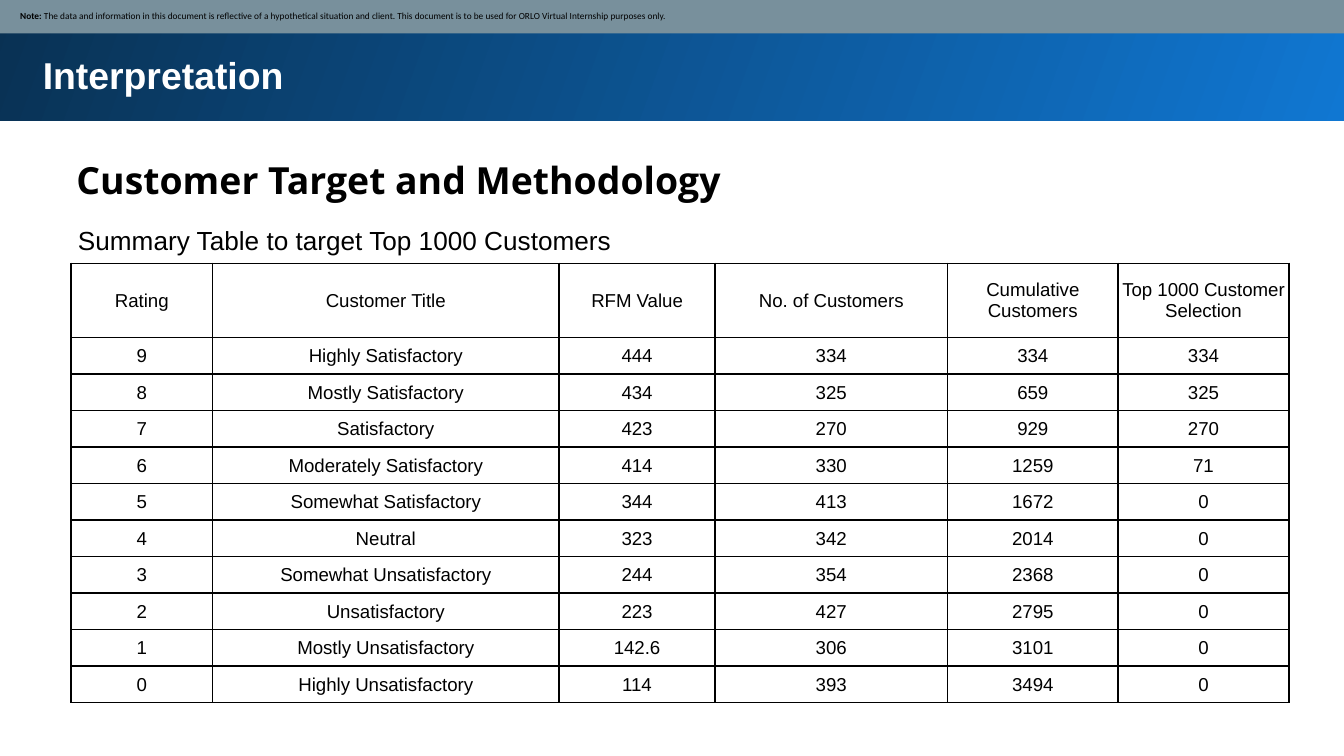
from lxml import etree
from pptx import Presentation
from pptx import util as u
from pptx.dml.color import RGBColor
from pptx.enum import shapes, text
from pptx.oxml import ns

BLACK = RGBColor(0x00, 0x00, 0x00)
WHITE = RGBColor(0xFF, 0xFF, 0xFF)
SLATE = RGBColor(0x78, 0x90, 0x9C)
BRIGHT_BLUE = RGBColor(0x10, 0x77, 0xD2)
NAVY = RGBColor(0x09, 0x31, 0x53)

SLIDE_WIDTH = u.Inches(10)
SLIDE_HEIGHT = SLIDE_WIDTH * 9 // 16
NOTE = (
    "The data and information in this document is reflective of a hypothetical "
    "situation and client. This document is to be used for ORLO Virtual "
    "Internship purposes only."
)
COLUMN_WIDTHS = [1.05, 2.58, 1.16, 1.73, 1.27, 1.27]
HEADER_HEIGHT = 0.55
RATINGS = [
    ("Rating", "Customer Title", "RFM Value", "No. of Customers",
     "Cumulative Customers", "Top 1000 Customer Selection"),
    ("9", "Highly Satisfactory", "444", "334", "334", "334"),
    ("8", "Mostly Satisfactory", "434", "325", "659", "325"),
    ("7", "Satisfactory", "423", "270", "929", "270"),
    ("6", "Moderately Satisfactory", "414", "330", "1259", "71"),
    ("5", "Somewhat Satisfactory", "344", "413", "1672", "0"),
    ("4", "Neutral", "323", "342", "2014", "0"),
    ("3", "Somewhat Unsatisfactory", "244", "354", "2368", "0"),
    ("2", "Unsatisfactory", "223", "427", "2795", "0"),
    ("1", "Mostly Unsatisfactory", "142.6", "306", "3101", "0"),
    ("0", "Highly Unsatisfactory", "114", "393", "3494", "0"),
]


def set_attributes(target, values):
    """Set each named attribute of the target."""
    for name, value in values.items():
        setattr(target, name, value)


def set_margins(target, left, top, right, bottom):
    """Set the four inner margins, in inches, of a text frame or cell."""
    margins = {"left": left, "top": top, "right": right, "bottom": bottom}
    set_attributes(target, {f"margin_{side}": u.Inches(size)
                            for side, size in margins.items()})


def add_run(paragraph, words, size, font="Arial", color=BLACK, bold=False):
    """Append a formatted run to the paragraph."""
    run = paragraph.add_run()
    run.text = words
    set_attributes(run.font, {"name": font, "size": u.Pt(size), "bold": bold})
    run.font.color.rgb = color


def add_band(slide, box):
    """Add a plain rectangle without line or shadow."""
    band = slide.shapes.add_shape(shapes.MSO_SHAPE.RECTANGLE, *map(u.Inches, box))
    band.shadow.inherit = False
    band.line.fill.background()
    return band


def add_header_band(slide, box):
    """Add the blue gradient band behind the slide title."""
    fill = add_band(slide, box).fill
    fill.gradient()
    fill.gradient_angle = 160
    for stop, color, position in zip(fill.gradient_stops, (BRIGHT_BLUE, NAVY), (0, 1)):
        stop.color.rgb = color
        stop.position = position


def add_note_band(slide, box):
    """Add the grey strip with the disclaimer."""
    band = add_band(slide, box)
    band.fill.solid()
    band.fill.fore_color.rgb = SLATE
    frame = band.text_frame
    set_attributes(frame, {"word_wrap": True,
                           "vertical_anchor": text.MSO_ANCHOR.MIDDLE})
    set_margins(frame, 0.16, 0.05, 0.05, 0.05)
    paragraph = frame.paragraphs[0]
    paragraph.alignment = text.PP_ALIGN.LEFT
    add_run(paragraph, "Note: ", 5, "Calibri", bold=True)
    add_run(paragraph, NOTE, 5, "Calibri")


def add_heading(slide, box, words, margin, spacing=1.0, **run_format):
    """Add a wrapped text box holding one line of heading text."""
    frame = slide.shapes.add_textbox(*map(u.Inches, box)).text_frame
    frame.word_wrap = True
    set_margins(frame, margin, margin, margin, margin)
    paragraph = frame.paragraphs[0]
    paragraph.line_spacing = spacing
    add_run(paragraph, words, **run_format)


def add_cell_borders(cell):
    """Draw a one-point black line on every side of the cell."""
    properties = cell._tc.get_or_add_tcPr()
    for side in ("L", "R", "T", "B"):
        line = etree.SubElement(properties, ns.qn(f"a:ln{side}"), w=str(u.Pt(1)))
        fill = etree.SubElement(line, ns.qn("a:solidFill"))
        etree.SubElement(fill, ns.qn("a:srgbClr"), val=str(BLACK))


def fill_cell(cell, words):
    """Format one centred table cell and write its text."""
    add_cell_borders(cell)
    cell.fill.background()
    cell.vertical_anchor = text.MSO_ANCHOR.MIDDLE
    set_margins(cell, 0.01, 0.01, 0.01, 0)
    paragraph = cell.text_frame.paragraphs[0]
    paragraph.alignment = text.PP_ALIGN.CENTER
    add_run(paragraph, words, 10)


def add_ratings_table(slide, box):
    """Add the customer rating table with a taller header row."""
    frame = slide.shapes.add_table(len(RATINGS), len(COLUMN_WIDTHS),
                                   *map(u.Inches, box))
    table = frame.table
    set_attributes(table, {"first_row": False, "horz_banding": False})
    for column, width in zip(table.columns, COLUMN_WIDTHS):
        column.width = u.Inches(width)
    body_height = (box[3] - HEADER_HEIGHT) / (len(RATINGS) - 1)
    for index, (row, values) in enumerate(zip(table.rows, RATINGS)):
        row.height = u.Inches(body_height if index else HEADER_HEIGHT)
        for cell, words in zip(row.cells, values):
            fill_cell(cell, words)


def main():
    """Build the interpretation slide and save it."""
    presentation = Presentation()
    set_attributes(presentation, {"slide_width": SLIDE_WIDTH,
                                  "slide_height": SLIDE_HEIGHT})
    slide = presentation.slides.add_slide(presentation.slide_layouts[6])
    add_header_band(slide, (-0.02, -0.02, 10.05, 0.92))
    add_heading(slide, (0.22, 0.29, 9.37, 0.83), "Interpretation", 0.1,
                size=20, color=WHITE, bold=True)
    add_heading(slide, (0.47, 1.02, 5.08, 0.56), "Customer Target and Methodology",
                0.1, spacing=1.15, size=20, font="Open Sans", bold=True)
    add_note_band(slide, (-0.01, -0.01, 10.03, 0.26))
    add_ratings_table(slide, (0.53, 1.96, 9.06, 3.27))
    add_heading(slide, (0.53, 1.62, 4.32, 0.34),
                "Summary Table to target Top 1000 Customers", 0.05, size=14)
    presentation.save("out.pptx")


if __name__ == "__main__":
    main()
